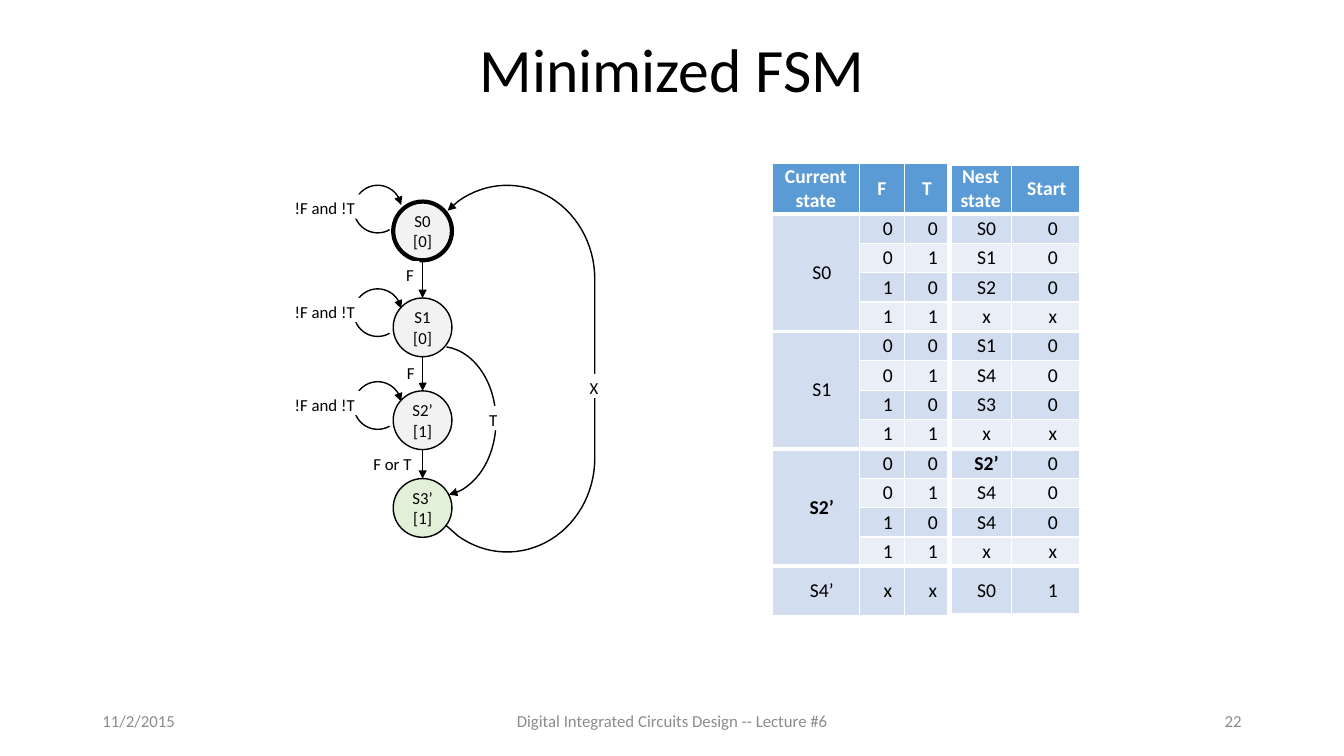
import math
from dataclasses import dataclass
from itertools import pairwise

from pptx import Presentation
from pptx import util as u
from pptx.dml.color import RGBColor
from pptx.enum import shapes, text
from pptx.oxml import ns
from lxml import etree

Cm, Pt = u.Cm, u.Pt


@dataclass(frozen=True)
class Theme:
    font: str = "Calibri"
    ink: str = "000000"
    paper: str = "FFFFFF"
    muted: str = "8C8C8C"
    state: str = "F2F2F2"
    final_state: str = "E2F0D9"
    header: str = "5B9BD5"
    band_dark: str = "D2DEEF"
    band_light: str = "EAEFF7"
    title_size: int = 44
    table_size: int = 14
    small_size: int = 12


THEME = Theme()
ALIGN = text.PP_ALIGN
STATES = [("S0", "[0]", 0.41), ("S1", "[0]", 2.84), ("S2’", "[1]", 5.18), ("S3’", "[1]", 7.39)]
HEADINGS = ["Current state", "F", "T", "Nest state", "Start"]
INPUTS = [("0", "0"), ("0", "1"), ("1", "0"), ("1", "1")]
TRANSITIONS = {  # current state: (next state, start) for each pair of inputs
    "S0": [("S0", "0"), ("S1", "0"), ("S2", "0"), ("x", "x")],
    "S1": [("S1", "0"), ("S4", "0"), ("S3", "0"), ("x", "x")],
    "S2’": [("S2’", "0"), ("S4", "0"), ("S4", "0"), ("x", "x")],
}
LAST_ROW = ["S4’", "x", "x", "S0", "1"]


def write(frame, words, size, color, align=ALIGN.CENTER, bold=False, spacing=None):
    frame.text = words
    frame.vertical_anchor = text.MSO_ANCHOR.MIDDLE
    for paragraph in frame.paragraphs:
        paragraph.alignment = align
        paragraph.line_spacing = spacing
        for run in paragraph.runs:
            run.font.name, run.font.size, run.font.bold = THEME.font, Pt(size), bold
            run.font.color.rgb = RGBColor.from_string(color)


def add_textbox(slide, box, words, size, color, align=ALIGN.CENTER, spacing=None):
    frame = slide.shapes.add_textbox(*map(Cm, box)).text_frame
    frame.word_wrap = True
    write(frame, words, size, color, align, spacing=spacing)


def add_plain_shape(slide, kind, box, fill=None):
    shape = slide.shapes.add_shape(kind, *map(Cm, box))
    shape.shadow.inherit = False
    if fill:
        shape.fill.solid()
        shape.fill.fore_color.rgb = RGBColor.from_string(fill)
    else:
        shape.fill.background()
    shape.line.fill.background()
    return shape


def outline(shape, width=1, arrow=False):
    shape.line.color.rgb = RGBColor.from_string(THEME.ink)
    shape.line.width = Pt(width)
    if arrow:
        etree.SubElement(shape.line._get_or_add_ln(), ns.qn("a:tailEnd"), type="triangle")


# Title and footer
def add_frame(slide, box):
    left, top, width, height = box
    add_textbox(slide, (left, top, width, 2), "Minimized FSM",
                THEME.title_size, THEME.ink, spacing=0.9)
    footer_top, footer_height = top + height - 1.02, 1.02
    footers = [("11/2/2015", 0, 7.62, ALIGN.LEFT),
               ("Digital Integrated Circuits Design -- Lecture #6", 8.9, 11.43, ALIGN.CENTER),
               ("22", width - 7.62, 7.62, ALIGN.RIGHT)]
    for words, offset, footer_width, align in footers:
        add_textbox(slide, (left + offset, footer_top, footer_width, footer_height),
                    words, THEME.small_size, THEME.muted, align)


def add_edge_label(slide, box, words):
    label = add_plain_shape(slide, shapes.MSO_SHAPE.RECTANGLE, box, THEME.paper)
    frame = label.text_frame
    frame.word_wrap = False
    frame.margin_left = frame.margin_right = frame.margin_bottom = 0
    frame.margin_top = Cm(0.1)
    write(frame, words, THEME.small_size, THEME.ink, spacing=Pt(13.8))


def add_arc(slide, box, start, end):
    """Arrow clockwise along an ellipse, angles in degrees."""
    arc = add_plain_shape(slide, shapes.MSO_SHAPE.ARC, box)
    arc.adjustments[0], arc.adjustments[1] = start * 0.6, end * 0.6
    outline(arc, arrow=True)


def add_return_path(slide, left, top):
    """Arrow from the last state round the right side to the first one."""
    center_x, radius_x, radius_y = left + 5.59, 2.21, 2.36
    points = [(left + 4.04, top + 8.56)]
    for center_y, angles in [(top + 6.88, range(124, -1, -4)), (top + 2.36, range(0, -125, -4))]:
        for angle in map(math.radians, angles):
            points.append((center_x + radius_x * math.cos(angle),
                           center_y + radius_y * math.sin(angle)))
    points.append((left + 4.09, top + 0.64))
    points = [(Cm(x), Cm(y)) for x, y in points]
    builder = slide.shapes.build_freeform(*points[0])
    builder.add_line_segments(points[1:], close=False)
    path_back = builder.convert_to_shape()
    path_back.shadow.inherit = False
    path_back.fill.background()
    outline(path_back, arrow=True)


# State diagram
def add_diagram(slide, box):
    left, top = box[:2]
    diameter, state_left = 1.48, left + 2.72
    label_height, letter_width = 0.61, 0.48

    circles = []
    for name, output, offset in STATES:
        fill = THEME.final_state if name == "S3’" else THEME.state
        circle = add_plain_shape(slide, shapes.MSO_SHAPE.OVAL,
                                 (state_left, top + offset, diameter, diameter), fill)
        outline(circle, 3 if name == "S0" else 1)
        circle.text_frame.word_wrap = False
        write(circle.text_frame, f"{name}\n{output}", THEME.small_size, THEME.ink)
        circles.append(circle)

    # Arrows down the chain
    for source, target in pairwise(circles):
        middle = source.left + source.width // 2
        arrow = slide.shapes.add_connector(shapes.MSO_CONNECTOR.STRAIGHT, middle,
                                           source.top + source.height, middle, target.top)
        arrow.end_connect(target, 0)
        outline(arrow, arrow=True)
        etree.SubElement(arrow._element.spPr, ns.qn("a:effectLst"))

    # Self loops
    for (_, _, offset), rise in zip(STATES, (0.41, 0.23, 0.23)):
        loop_top = top + offset - rise
        add_arc(slide, (state_left - 0.99, loop_top, 1.2, 1.2), 60, 350)
        add_edge_label(slide, (state_left - 2.69, loop_top + 0.23, 1.93, label_height),
                       "!F and !T")

    # Long arrows, then the labels that interrupt them
    add_arc(slide, (left + 2.49, top + 4.06, 2.82, 3.76), 275, 83)
    add_return_path(slide, left, top)
    for words, x, y, width in [("F", 2.9, 1.91, letter_width), ("F", 2.92, 4.37, letter_width),
                               ("F or T", 2.18, 6.68, 1.04), ("T", 5, 5.56, letter_width),
                               ("X", 7.54, 4.75, letter_width)]:
        add_edge_label(slide, (left + x, top + y, width, label_height), words)


def add_borders(cell, widths):
    for side, width in zip("LRTB", widths):
        line = etree.SubElement(cell._tc.get_or_add_tcPr(), ns.qn(f"a:ln{side}"),
                                w=str(Pt(width)))
        fill = etree.SubElement(line, ns.qn("a:solidFill"))
        etree.SubElement(fill, ns.qn("a:srgbClr"), val=THEME.paper)


# Transition table
def add_transitions(slide, box):
    rows = [HEADINGS]
    for state, results in TRANSITIONS.items():
        rows += [[state, *given, *result] for given, result in zip(INPUTS, results)]
    rows.append(LAST_ROW)
    last, group = len(rows) - 1, len(INPUTS)

    table = slide.shapes.add_table(len(rows), len(HEADINGS), *map(Cm, box)).table
    table.horz_banding = False
    for column, width in zip(table.columns, (2.2, 1.13, 1.14, 1.57, 1.77)):
        column.width = Cm(width)
    for r, row in enumerate(table.rows):
        row.height = Cm(1.27 if r == 0 else 1.24 if r == last else 0.74)

    for r, values in enumerate(rows):
        for c, value in enumerate(values):
            cell = table.cell(r, c)
            if c == 0 and 0 < r < last:
                if r % group != 1:
                    continue
                cell.merge(table.cell(r + group - 1, c))
            # Wide gaps set the outputs apart, medium ones the states
            bottom_row = r + group - 1 if cell.is_merge_origin else r
            add_borders(cell, (4.5 if c == 3 else 1,
                               4.5 if c in (2, 4) else 1,
                               (4.5 if c > 2 else 1) if r == 0 else 3 if r % group == 1 else 1,
                               (4.5 if c > 2 else 1) if r == last
                               else 3 if bottom_row % group == 0 else 1))
            cell.fill.solid()
            fill = THEME.header if r == 0 else THEME.band_dark if r % 2 else THEME.band_light
            cell.fill.fore_color.rgb = RGBColor.from_string(fill)
            cell.margin_left = Cm(0.3 if r else 0)
            cell.margin_right = cell.margin_top = cell.margin_bottom = 0
            write(cell.text_frame, value, THEME.table_size, THEME.ink if r else THEME.paper,
                  bold=r == 0 or value == "S2’")
            cell.vertical_anchor = text.MSO_ANCHOR.MIDDLE


def main():
    deck = Presentation()
    deck.slide_width, deck.slide_height = Cm(33.87), Cm(19.05)
    slide = deck.slides.add_slide(deck.slide_layouts[6])
    add_frame(slide, (2.33, 0.84, 29.21, 17.83))
    add_transitions(slide, (19.46, 4.12, 7.81, 11.39))
    add_diagram(slide, (7.19, 4.67, 8.02, 9.24))
    deck.save("out.pptx")


if __name__ == "__main__":
    main()
